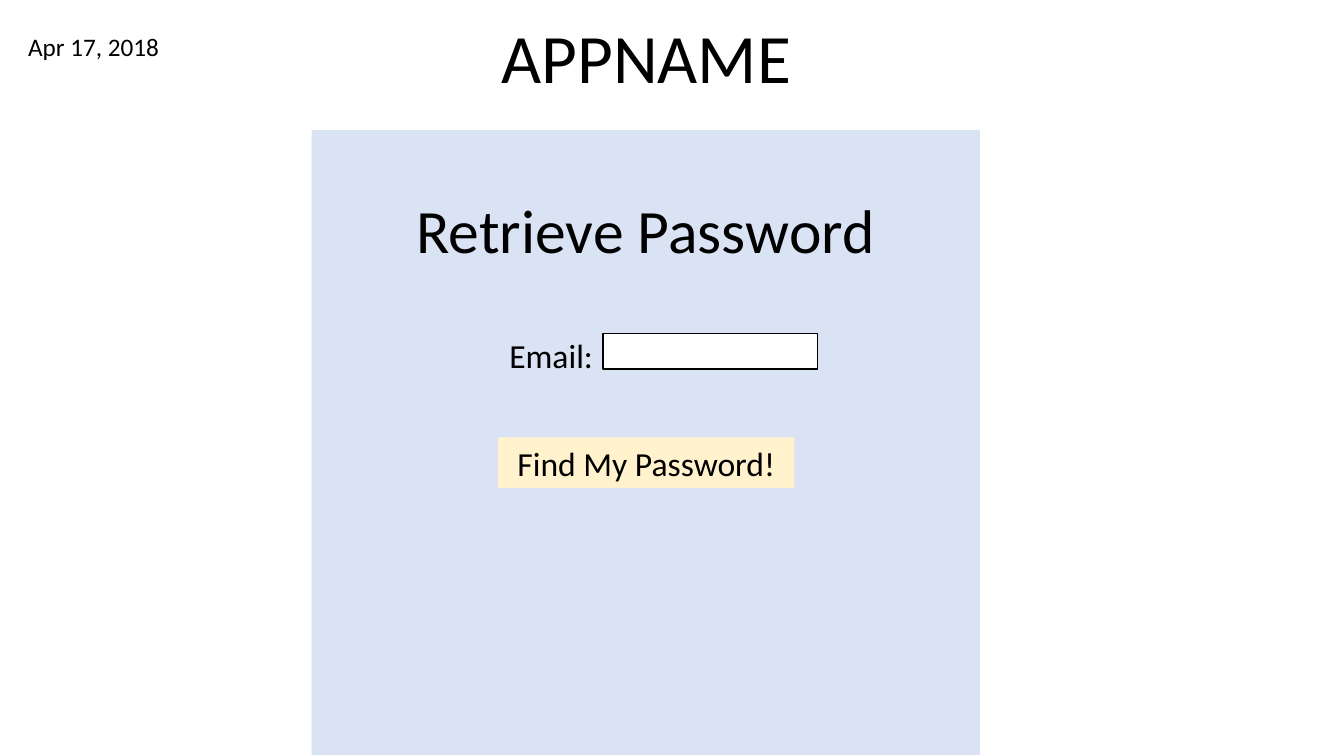
"""Build the password retrieval screen mock-up."""
from typing import NamedTuple, Optional

from pptx import Presentation
from pptx.dml.color import RGBColor
from pptx.enum.shapes import MSO_SHAPE as Preset
from pptx.enum.text import MSO_ANCHOR as Anchor, MSO_AUTO_SIZE as AutoSize, PP_ALIGN as Align
from pptx.util import Inches, Pt

FONT = "Calibri"
COLORS = {"ink": "000000", "panel": "DAE3F3", "field": "FFFFFF", "button": "FFF2CC"}


class Area(NamedTuple):
    left: float
    top: float
    width: float
    height: float


class Block(NamedTuple):
    area: Area
    fill: str
    line: Optional[str] = None


class Label(NamedTuple):
    text: str
    area: Area
    size: float
    align: Align = Align.CENTER
    spacing: float = 1.0
    fill: Optional[str] = None


FORM_PANEL = Block(Area(3.09, 1.29, 6.63, 6.2), "panel")
EMAIL_FIELD = Block(Area(5.98, 3.31, 2.13, 0.35), "field", line="ink")
LABELS = [
    Label("Apr 17, 2018", Area(0.18, 0.26, 1.59, 0.4), 18, align=Align.LEFT),
    Label("Retrieve Password", Area(3.96, 1.86, 4.89, 0.84), 44),
    Label("Email:", Area(4.27, 3.07, 1.71, 0.64), 24, align=Align.RIGHT, spacing=1.5),
    Label("Find My Password!", Area(4.94, 4.34, 2.94, 0.5), 24, fill="button"),
]


def color(name: str) -> RGBColor:
    """Look up a named colour."""
    return RGBColor.from_string(COLORS[name])


def paint(shape, name: str) -> None:
    """Fill a shape with a named colour."""
    shape.fill.solid()
    shape.fill.fore_color.rgb = color(name)


def place(shape, area: Area) -> None:
    """Move and size a shape to an area."""
    shape.left, shape.top, shape.width, shape.height = map(Inches, area)


def write(box, text: str, *, size: float, align: Align = Align.CENTER,
          spacing: float = 1.0, anchor: Anchor = Anchor.TOP) -> None:
    """Put one formatted paragraph into a box."""
    frame = box.text_frame
    frame.word_wrap = True
    frame.auto_size = AutoSize.NONE
    frame.vertical_anchor = anchor
    para = frame.paragraphs[0]
    para.alignment = align
    para.line_spacing = spacing
    span = para.add_run()
    span.text = text
    span.font.name = FONT
    span.font.size = Pt(size)
    span.font.color.rgb = color("ink")


def add_block(page, block: Block) -> None:
    """Draw a plain rectangle."""
    shape = page.shapes.add_shape(Preset.RECTANGLE, *map(Inches, block.area))
    shape.shadow.inherit = False
    paint(shape, block.fill)
    if block.line:
        shape.line.color.rgb = color(block.line)
        shape.line.width = Pt(1)
    else:
        shape.line.fill.background()


def add_label(page, label: Label) -> None:
    """Draw a text box, filled if the label asks for it."""
    box = page.shapes.add_textbox(*map(Inches, label.area))
    if label.fill:
        paint(box, label.fill)
    write(box, label.text, size=label.size, align=label.align, spacing=label.spacing)


def main() -> None:
    """Assemble and save the deck."""
    deck = Presentation()
    deck.slide_width, deck.slide_height = Inches(13.33), Inches(7.5)
    page = deck.slides.add_slide(deck.slide_layouts.get_by_name("Title Only"))
    title = page.shapes.title
    place(title, Area(4.71, 0.26, 3.4, 0.73))
    write(title, "APPNAME", size=49.5, spacing=0.7, anchor=Anchor.BOTTOM)
    for block in (FORM_PANEL, EMAIL_FIELD):
        add_block(page, block)
    for label in LABELS:
        add_label(page, label)
    deck.save("out.pptx")


main()
